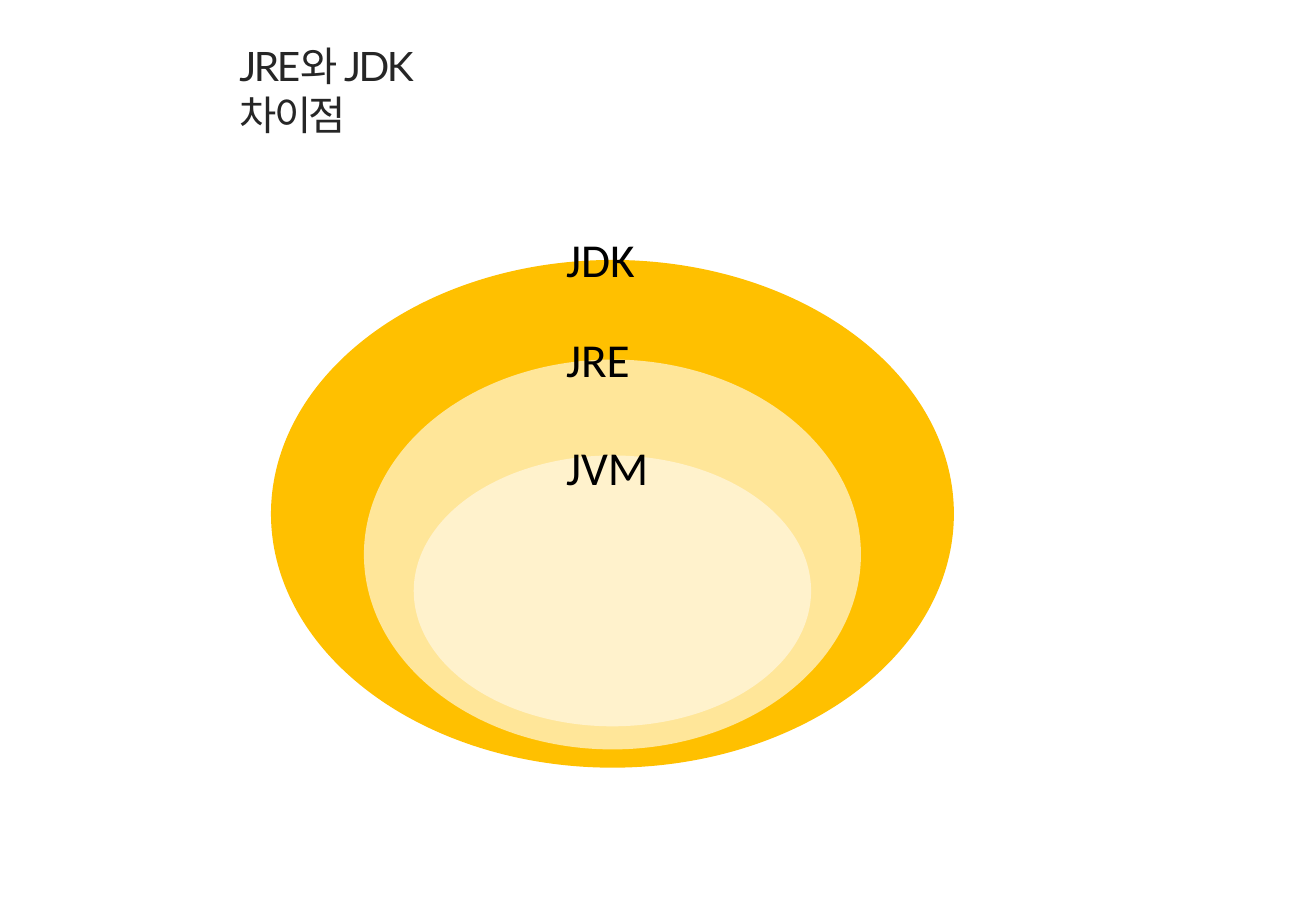
"""Build a slide showing how the JDK, JRE and JVM nest."""
from pptx import Presentation
from pptx.dml.color import RGBColor
from pptx.enum import shapes, text
from pptx.util import Inches, Pt

AMBER = RGBColor(0xFF, 0xC0, 0x00)
LIGHT_AMBER = RGBColor(0xFF, 0xE6, 0x99)
PALE_AMBER = RGBColor(0xFF, 0xF2, 0xCC)
BLACK = RGBColor(0x00, 0x00, 0x00)
CHARCOAL = RGBColor(0x26, 0x26, 0x26)

CENTER_X = 5.04
LABEL_LEFT = 4.56


class NestedDiagram:
    """Hold the text styles and the slide being drawn."""

    heading_style = {"name": "Lato", "size": Pt(24), "bold": False}
    label_style = {"name": "Calibri", "size": Pt(28), "bold": False}

    def __init__(self, deck):
        self.slide = deck.slides.add_slide(deck.slide_layouts[5])

    def set_wording(self, holder, wording, style, color, wrap):
        frame = holder.text_frame
        frame.text = wording
        layout = {
            "word_wrap": wrap,
            "vertical_anchor": text.MSO_ANCHOR.TOP,
            "auto_size": text.MSO_AUTO_SIZE.SHAPE_TO_FIT_TEXT,
        }
        for key, value in layout.items():
            setattr(frame, key, value)
        line = frame.paragraphs[0]
        line.alignment = text.PP_ALIGN.LEFT
        run = line.runs[0]
        for key, value in style.items():
            setattr(run.font, key, value)
        run.font.color.rgb = color
        return run

    def heading(self, wording, left, top, width, height):
        title = self.slide.shapes.title
        place = {"left": left, "top": top, "width": width, "height": height}
        for key, value in place.items():
            setattr(title, key, Inches(value))
        run = self.set_wording(
            title, wording, self.heading_style, CHARCOAL, True)
        run._r.get_or_add_rPr().set("spc", "-150")

    def ring(self, top, width, height, color):
        ellipse = self.slide.shapes.add_shape(
            shapes.MSO_SHAPE.OVAL, Inches(CENTER_X - width / 2), Inches(top),
            Inches(width), Inches(height))
        ellipse.shadow.inherit = False
        ellipse.fill.solid()
        ellipse.fill.fore_color.rgb = color
        ellipse.line.fill.background()

    def label(self, wording, top, width):
        caption = self.slide.shapes.add_textbox(
            Inches(LABEL_LEFT), Inches(top), Inches(width), Inches(0.57))
        self.set_wording(caption, wording, self.label_style, BLACK, False)


def main():
    deck = Presentation()
    deck.slide_width, deck.slide_height = Inches(10.83), Inches(7.5)
    diagram = NestedDiagram(deck)
    diagram.heading("JRE와 JDK 차이점", 1.87, 0.29, 2.27, 0.5)

    rings = [
        (2.14, 5.62, 4.18, AMBER),
        (2.96, 4.09, 3.21, LIGHT_AMBER),
        (3.75, 3.27, 2.23, PALE_AMBER),
    ]
    for ring in rings:
        diagram.ring(*ring)

    labels = [("JDK", 1.85, 0.96), ("JRE", 2.67, 0.94), ("JVM", 3.56, 1.04)]
    for label in labels:
        diagram.label(*label)

    deck.save("out.pptx")


if __name__ == "__main__":
    main()
